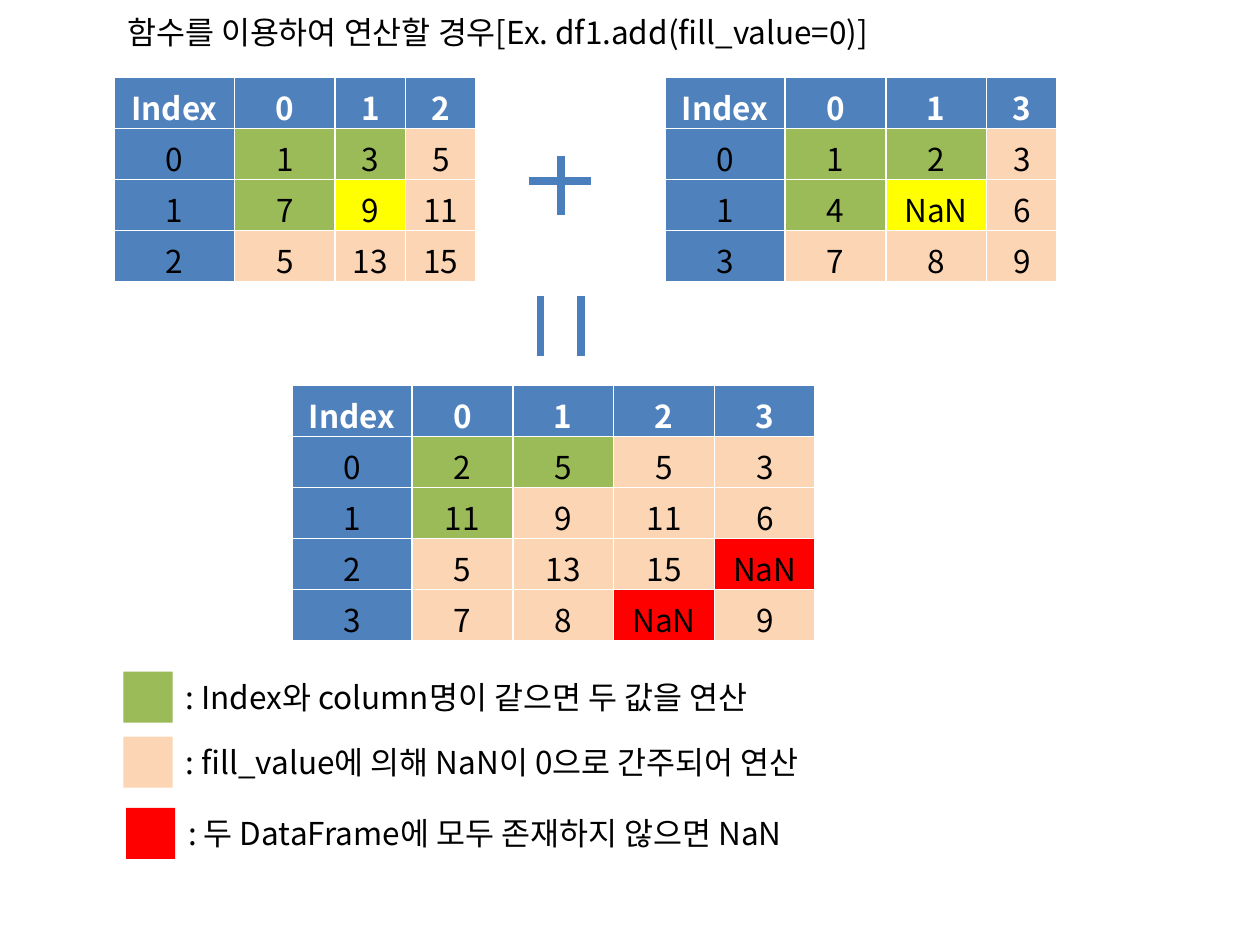
import dataclasses

import lxml.etree
import pptx
import pptx.dml.color
import pptx.enum.shapes
import pptx.enum.text
import pptx.oxml.ns
import pptx.util


@dataclasses.dataclass(frozen=True)
class Theme:
    font: str = "Noto Sans CJK KR"
    size: int = 18
    line_width: float = 4.5
    line: str = "4B7EBC"
    text: str = "000000"
    header_text: str = "FFFFFF"
    index: str = "4F81BD"
    both: str = "9BBB59"
    filled: str = "FCD5B5"
    nan_input: str = "FFFF00"
    missing: str = "FF0000"


THEME = Theme()
WIDTH = pptx.util.Inches(10)
HEIGHT = pptx.util.Inches(7.5)
INDEX_COL, WIDE_COL, NARROW_COL = 9.5, 8, 5.6
ROW = 5.4
CELL_FILLS = {
    "i": THEME.index,
    "b": THEME.both,
    "f": THEME.filled,
    "n": THEME.nan_input,
    "m": THEME.missing,
}


def across(percent):
    return round(WIDTH * percent / 100)


def down(percent):
    return round(HEIGHT * percent / 100)


def rgb(value):
    return pptx.dml.color.RGBColor.from_string(value)


def add_run(p, text, color=THEME.text, bold=False):
    r = p.add_run()
    r.text = text
    r.font.name = THEME.font
    r.font.size = pptx.util.Pt(THEME.size)
    r.font.bold = bold
    r.font.color.rgb = rgb(color)
    ea = lxml.etree.SubElement(r.font._element, pptx.oxml.ns.qn("a:ea"))
    ea.set("typeface", THEME.font)


def add_frame(s, left, top, columns, rows, fills):
    shape = s.shapes.add_table(
        len(rows), len(columns), across(left), down(top),
        across(sum(columns)), down(ROW * len(rows)),
    )
    table = shape.table
    for column, width in zip(table.columns, columns):
        column.width = across(width)
    for i, (values, kinds) in enumerate(zip(rows, fills)):
        table.rows[i].height = down(ROW)
        for j, (value, kind) in enumerate(zip(values, kinds)):
            cell = table.cell(i, j)
            cell.fill.solid()
            cell.fill.fore_color.rgb = rgb(CELL_FILLS[kind])
            p = cell.text_frame.paragraphs[0]
            p.alignment = pptx.enum.text.PP_ALIGN.CENTER
            header = i == 0
            add_run(p, value, THEME.header_text if header else THEME.text, header)


def add_line(s, x1, y1, x2, y2):
    line = s.shapes.add_connector(
        pptx.enum.shapes.MSO_CONNECTOR.STRAIGHT,
        across(x1), down(y1), across(x2), down(y2),
    )
    line.line.color.rgb = rgb(THEME.line)
    line.line.width = pptx.util.Pt(THEME.line_width)
    lxml.etree.SubElement(line._element.spPr, pptx.oxml.ns.qn("a:effectLst"))


def add_text(s, left, top, width, text, wrap=False):
    sp = s.shapes.add_textbox(across(left), down(top), across(width), down(ROW))
    tf = sp.text_frame
    tf.word_wrap = wrap
    tf.auto_size = pptx.enum.text.MSO_AUTO_SIZE.SHAPE_TO_FIT_TEXT
    add_run(tf.paragraphs[0], text)


def add_legend(s, left, top, width, color, text):
    sp = s.shapes.add_shape(
        pptx.enum.shapes.MSO_SHAPE.RECTANGLE,
        across(left), down(top), across(3.9), down(ROW),
    )
    sp.shadow.inherit = False
    sp.fill.solid()
    sp.fill.fore_color.rgb = rgb(color)
    sp.line.fill.background()
    add_text(s, left + 3.95, top, width, text)


def main():
    prs = pptx.Presentation()
    prs.slide_width, prs.slide_height = WIDTH, HEIGHT
    s = prs.slides.add_slide(prs.slide_layouts[6])

    add_text(s, 9.1, 0.67, 70.1,
             "함수를 이용하여 연산할 경우[Ex. df1.add(fill_value=0)]", wrap=True)

    add_frame(
        s, 9.1, 8.2, [INDEX_COL, WIDE_COL, NARROW_COL, NARROW_COL],
        [["Index", "0", "1", "2"], ["0", "1", "3", "5"],
         ["1", "7", "9", "11"], ["2", "5", "13", "15"]],
        ["iiii", "ibbf", "ibnf", "ifff"],
    )
    add_frame(
        s, 52.8, 8.2, [INDEX_COL, WIDE_COL, WIDE_COL, NARROW_COL],
        [["Index", "0", "1", "3"], ["0", "1", "2", "3"],
         ["1", "4", "NaN", "6"], ["3", "7", "8", "9"]],
        ["iiii", "ibbf", "ibnf", "ifff"],
    )
    add_frame(
        s, 23.2, 40.8, [INDEX_COL] + [WIDE_COL] * 4,
        [["Index", "0", "1", "2", "3"], ["0", "2", "5", "5", "3"],
         ["1", "11", "9", "11", "6"], ["2", "5", "13", "15", "NaN"],
         ["3", "7", "8", "NaN", "9"]],
        ["iiiii", "ibbff", "ibfff", "ifffm", "iffmf"],
    )

    for x in (42.9, 46.1):
        add_line(s, x, 31.35, x, 37.65)
    add_line(s, 44.5, 16.5, 44.5, 22.8)
    add_line(s, 46.9, 19.2, 42, 19.2)

    add_legend(s, 9.8, 71.07, 50.4, THEME.both,
               ": Index와 column명이 같으면 두 값을 연산")
    add_legend(s, 9.8, 77.95, 54.4, THEME.filled,
               ": fill_value에 의해 NaN이 0으로 간주되어 연산")
    add_legend(s, 10, 85.5, 53.2, THEME.missing,
               ": 두 DataFrame에 모두 존재하지 않으면 NaN")
    prs.save("out.pptx")


if __name__ == "__main__":
    main()
